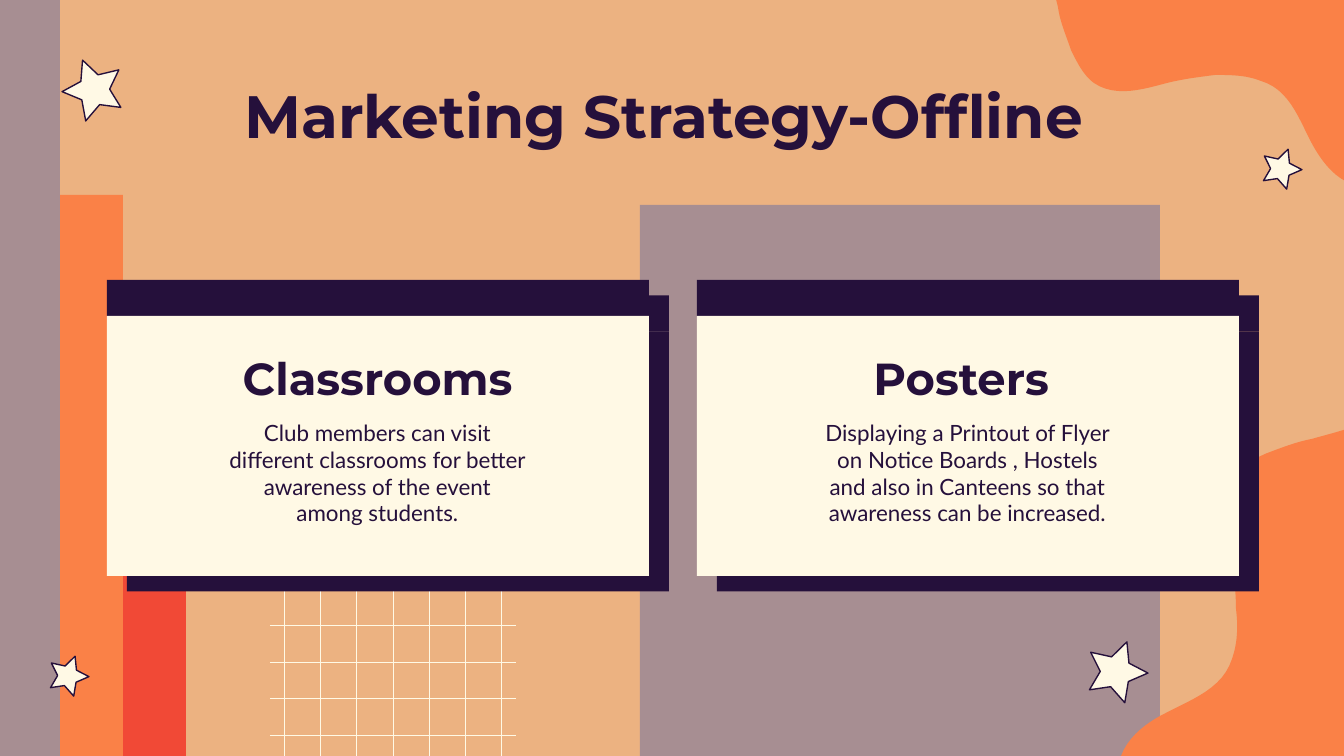
from dataclasses import dataclass
from math import cos, pi, radians, sin

from lxml.etree import SubElement
from pptx import Presentation
from pptx.dml.color import RGBColor
from pptx.enum.shapes import MSO_CONNECTOR, MSO_SHAPE
from pptx.enum.text import MSO_ANCHOR, MSO_AUTO_SIZE, PP_ALIGN
from pptx.oxml.ns import qn
from pptx.util import Pt

W, H = 1344, 756
PX = 9144000 / W
COLORS = {"sand": "ECB281", "mauve": "A78E92", "orange": "FA8147",
          "red": "F14936", "cream": "FFF9E5", "ink": "25103B"}
HEADING, BODY = "Montserrat", "Lato"


@dataclass(frozen=True)
class Box:
    x: int
    y: int
    w: int
    h: int


@dataclass(frozen=True)
class Star:
    x: int
    y: int
    radius: int
    angle: int


@dataclass(frozen=True)
class Blob:
    """Each curve holds two control points and an end point."""
    start: tuple
    curves: tuple
    corners: tuple


@dataclass(frozen=True)
class Card:
    x: int
    heading: str
    body: str


BANDS = (
    (Box(-4, 0, 64, 758), "mauve"),
    (Box(60, 195, 63, 563), "orange"),
    (Box(123, 469, 63, 289), "red"),
    (Box(640, 205, 520, 597), "mauve"),
)
BLOBS = (
    Blob((1118, 769), (
        (1121, 741, 1145, 723, 1168, 712),
        (1193, 699, 1223, 688, 1232, 659),
        (1238, 642, 1238, 625, 1236, 609),
        (1236, 591, 1234, 574, 1228, 556),
        (1223, 532, 1214, 501, 1230, 478),
        (1238, 466, 1253, 460, 1265, 454),
        (1281, 448, 1296, 442, 1312, 439),
        (1329, 434, 1348, 430, 1364, 422),
    ), ((1364, 769),)),
    Blob((1364, 187), (
        (1337, 184, 1321, 161, 1310, 140),
        (1298, 116, 1288, 89, 1261, 81),
        (1246, 75, 1231, 75, 1215, 75),
        (1199, 77, 1183, 79, 1167, 83),
        (1144, 89, 1116, 98, 1094, 83),
        (1083, 75, 1077, 62, 1071, 50),
        (1066, 35, 1060, 22, 1058, 7),
        (1054, -9, 1050, -27, 1043, -43),
    ), ((1364, -43),)),
)
STARS = (Star(68, 676, 21, 2), Star(94, 90, 32, 177),
         Star(1116, 672, 32, 2), Star(1281, 169, 21, 2))
CARDS = (
    Card(107, "Classrooms",
         "Club members can visit different classrooms for better "
         "awareness of the event among students."),
    Card(697, "Posters ",
         "Displaying a Printout of Flyer on Notice Boards , Hostels and "
         "also in Canteens so that awareness can be increased."),
)


def emu(px: float) -> int:
    return round(px * PX)


def rgb(name: str) -> RGBColor:
    return RGBColor.from_string(COLORS[name])


def frame(box: Box) -> tuple:
    return emu(box.x), emu(box.y), emu(box.w), emu(box.h)


def paint(sp, fill: str, line: str = "") -> None:
    sp.shadow.inherit = False
    sp.fill.solid()
    sp.fill.fore_color.rgb = rgb(fill)
    if line:
        sp.line.color.rgb = rgb(line)
        sp.line.width = Pt(0.75)
    else:
        sp.line.fill.background()


def add_rect(s, box: Box, fill: str):
    sp = s.shapes.add_shape(MSO_SHAPE.RECTANGLE, *frame(box))
    paint(sp, fill)
    return sp


def add_hard_shadow(sp) -> None:
    effects = sp._element.spPr.find(qn("a:effectLst"))
    shadow = SubElement(effects, qn("a:outerShdw"), blurRad="0",
                        dist=str(Pt(13.5)), dir=str(38 * 60000),
                        algn="bl", rotWithShape="0")
    SubElement(shadow, qn("a:srgbClr"), val=COLORS["ink"])


def add_outline(s, points: list, fill: str, line: str = "") -> None:
    corners = [(emu(x), emu(y)) for x, y in points]
    builder = s.shapes.build_freeform(*corners[0])
    builder.add_line_segments(corners[1:], close=True)
    paint(builder.convert_to_shape(), fill, line)


def add_blob(s, blob: Blob, steps: int = 12) -> None:
    points = [blob.start]
    for x1, y1, x2, y2, x3, y3 in blob.curves:
        x0, y0 = points[-1]
        for i in range(1, steps + 1):
            t = i / steps
            a, b, c, d = (1 - t)**3, 3 * t * (1 - t)**2, 3 * t**2 * (1 - t), t**3
            points.append((a * x0 + b * x1 + c * x2 + d * x3,
                           a * y0 + b * y1 + c * y2 + d * y3))
    add_outline(s, points + list(blob.corners), "orange")


def add_star(s, star: Star) -> None:
    points = []
    for i in range(10):
        r = star.radius * (0.49 if i % 2 else 1)
        a = radians(star.angle) + i * pi / 5
        points.append((star.x + r * cos(a), star.y + r * sin(a)))
    add_outline(s, points, "cream", "ink")


def add_rule(s, x1: float, y1: float, x2: float, y2: float) -> None:
    line = s.shapes.add_connector(MSO_CONNECTOR.STRAIGHT,
                                  emu(x1), emu(y1), emu(x2), emu(y2))
    line.line.color.rgb = rgb("cream")
    line.line.width = Pt(0.5)
    SubElement(line._element.spPr, qn("a:effectLst"))


def add_grid(s) -> None:
    for i in range(7):
        x = 284.5 + 36.2 * i
        add_rule(s, x, 575, x, 823)
    for i in range(5):
        y = 589.5 + 36.5 * i
        add_rule(s, 270, y, 516, y)


def write(sp, box: Box, text: str, font: str, size: int, bold: bool = False,
          anchor=MSO_ANCHOR.TOP) -> None:
    sp.left, sp.top, sp.width, sp.height = frame(box)
    tf = sp.text_frame
    tf.word_wrap = True
    tf.auto_size = MSO_AUTO_SIZE.NONE
    tf.vertical_anchor = anchor
    tf.margin_left = tf.margin_right = tf.margin_top = tf.margin_bottom = emu(13)
    p = tf.paragraphs[0]
    p.alignment = PP_ALIGN.CENTER
    r = p.add_run()
    r.text = text
    r.font.name, r.font.size, r.font.bold = font, Pt(size), bold
    r.font.color.rgb = rgb("ink")


def add_card(s, card: Card) -> None:
    for y, h, fill in ((280, 36, "ink"), (316, 260, "cream")):
        add_hard_shadow(add_rect(s, Box(card.x, y, 542, h), fill))
    heading, body = Box(card.x + 108, 343, 325, 75), Box(card.x + 108, 406, 325, 145)
    write(s.shapes.add_textbox(*frame(heading)), heading, card.heading,
          HEADING, 24, True, MSO_ANCHOR.BOTTOM)
    write(s.shapes.add_textbox(*frame(body)), body, card.body, BODY, 12)


def main() -> None:
    prs = Presentation()
    prs.slide_width, prs.slide_height = emu(W), emu(H)
    s = prs.slides.add_slide(prs.slide_layouts[5])
    s.background.fill.solid()
    s.background.fill.fore_color.rgb = rgb("sand")
    write(s.shapes.title, Box(106, 66, 1133, 85),
          "Marketing Strategy-Offline ", HEADING, 32, True)
    add_grid(s)
    for box, fill in BANDS:
        add_rect(s, box, fill)
    for blob in BLOBS:
        add_blob(s, blob)
    for star in STARS:
        add_star(s, star)
    for card in CARDS:
        add_card(s, card)
    prs.save("out.pptx")


if __name__ == "__main__":
    main()
